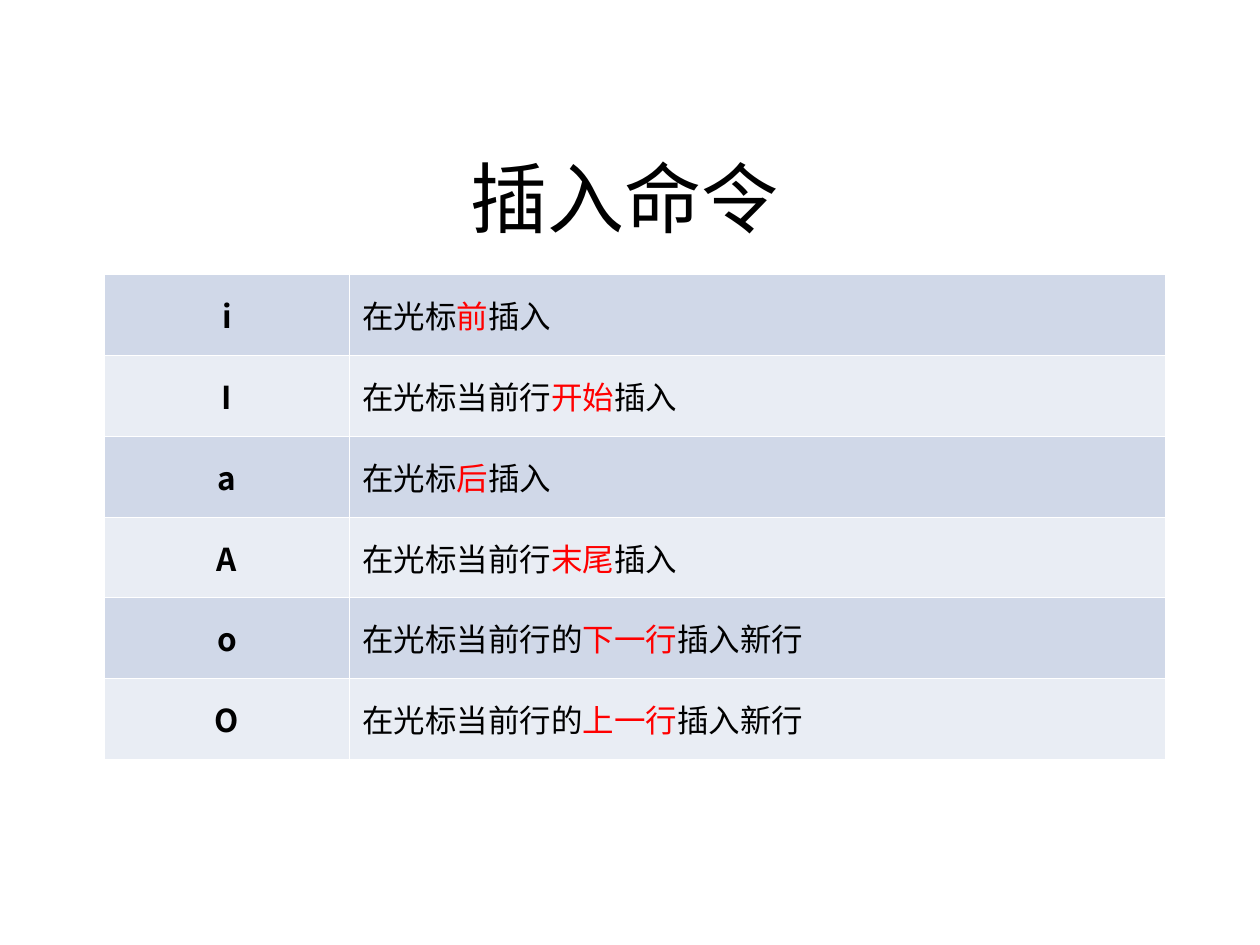
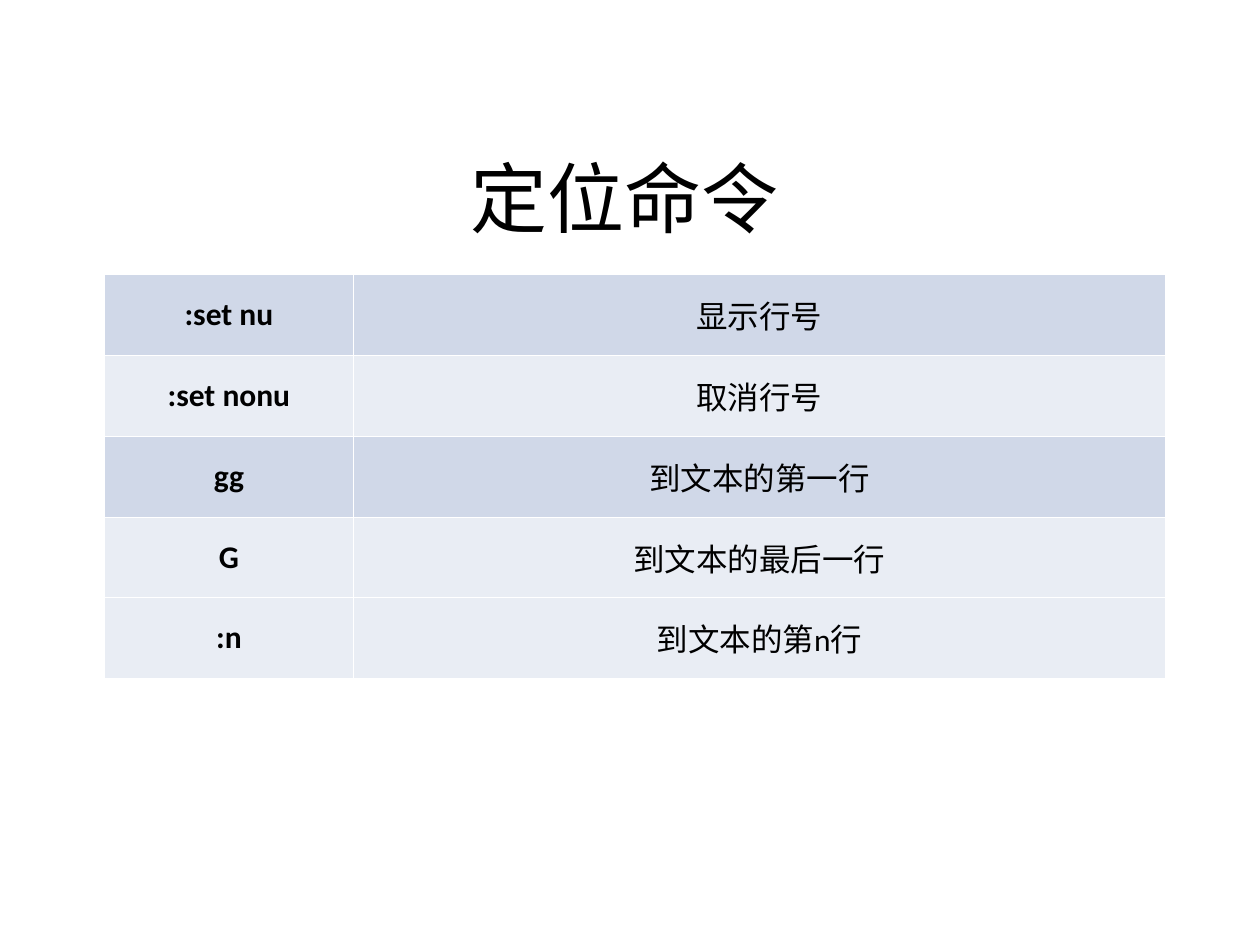
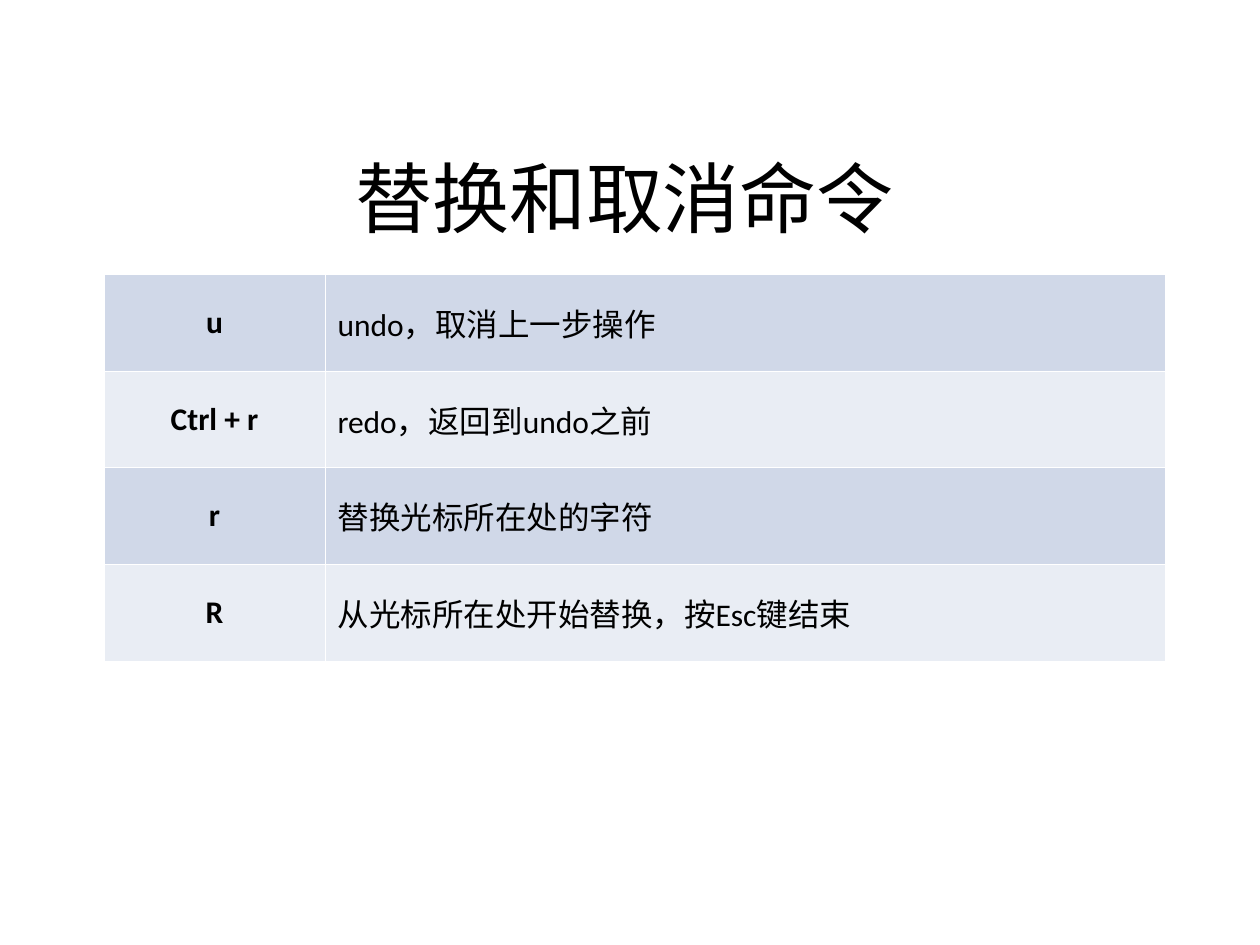
from dataclasses import dataclass
from lxml.etree import SubElement
from pptx import Presentation
from pptx.dml.color import RGBColor
from pptx.enum.text import MSO_ANCHOR, PP_ALIGN
from pptx.oxml.ns import qn
from pptx.util import Cm, Pt


@dataclass(frozen=True)
class Theme:
    ink: str = "000000"
    mark: str = "FF0000"
    rule: str = "FFFFFF"
    dark: str = "D0D8E8"
    light: str = "E9EDF4"
    latin: str = "Calibri"
    han: str = "Noto Sans CJK SC"
    head: float = 44
    body: float = 18
    gap: float = 4.5
    line: float = 0.45


@dataclass(frozen=True)
class Box:
    left: float
    top: float
    width: float
    height: float = 0

    def frame(self):
        return [Cm(n) for n in (self.left, self.top, self.width, self.height)]


THEME = Theme()
TITLE = Box(1.9, 0.91, 21.39, 3.99)
GRID = Box(2.1, 5.53, 21.39)

# In a row's text, words between bars are highlighted.
PAGES = [
    {
        "title": "插入命令", "key": 4.95, "row": 1.63,
        "font": THEME.han, "align": PP_ALIGN.LEFT, "bands": "dldldl",
        "rows": [
            ("i", "在光标|前|插入"),
            ("I", "在光标当前行|开始|插入"),
            ("a", "在光标|后|插入"),
            ("A", "在光标当前行|末尾|插入"),
            ("o", "在光标当前行的|下一行|插入新行"),
            ("O", "在光标当前行的|上一行|插入新行"),
        ],
    },
    {
        "title": "定位命令", "key": 5.03, "row": 1.63,
        "font": THEME.latin, "align": PP_ALIGN.CENTER, "bands": "dldll",
        "rows": [
            (":set nu", "显示行号"),
            (":set nonu", "取消行号"),
            ("gg", "到文本的第一行"),
            ("G", "到文本的最后一行"),
            (":n", "到文本的第n行"),
        ],
    },
    {
        "title": "替换和取消命令", "key": 4.45, "row": 1.95,
        "font": THEME.latin, "align": PP_ALIGN.LEFT, "bands": "dldl",
        "rows": [
            ("u", "undo，取消上一步操作"),
            ("Ctrl + r", "redo，返回到undo之前"),
            ("r", "替换光标所在处的字符"),
            ("R", "从光标所在处开始替换，按Esc键结束"),
        ],
    },
]


def apply(part, values):
    for name, value in values.items():
        setattr(part, name, value)


def write(para, text, size, font=THEME.latin, bold=False):
    for i, words in enumerate(text.split("|")):
        run = para.add_run()
        run.text = words
        apply(run.font, {"size": Pt(size), "name": font, "bold": bold})
        color = THEME.mark if i % 2 else THEME.ink
        run.font.color.rgb = RGBColor.from_string(color)
        # East Asian typeface
        SubElement(run.font._element, qn("a:ea"), typeface=THEME.han)


def border(cell):
    props = cell._tc.get_or_add_tcPr()
    for side in ("L", "R", "T", "B"):
        line = SubElement(props, qn(f"a:ln{side}"), w=str(Pt(THEME.line)))
        fill = SubElement(line, qn("a:solidFill"))
        SubElement(fill, qn("a:srgbClr"), val=THEME.rule)


def title(slide, box, text):
    frame = slide.shapes.add_textbox(*box.frame()).text_frame
    apply(frame, {"word_wrap": True, "vertical_anchor": MSO_ANCHOR.BOTTOM,
                  "margin_top": 0, "margin_bottom": 0})
    para = frame.paragraphs[0]
    para.alignment = PP_ALIGN.CENTER
    write(para, text, THEME.head)


def grid(slide, box, page):
    rows = page["rows"]
    area = Box(box.left, box.top, box.width, page["row"] * len(rows))
    table = slide.shapes.add_table(len(rows), 2, *area.frame()).table
    apply(table, {"first_row": False, "horz_banding": False})
    for col, width in zip(table.columns, (page["key"], box.width - page["key"])):
        col.width = Cm(width)

    # Key column, then meaning column
    looks = [
        (PP_ALIGN.CENTER, {"font": page["font"], "bold": True}),
        (page["align"], {}),
    ]
    for r, (texts, band) in enumerate(zip(rows, page["bands"])):
        table.rows[r].height = Cm(page["row"])
        shade = THEME.dark if band == "d" else THEME.light
        for c, (text, (align, style)) in enumerate(zip(texts, looks)):
            cell = table.cell(r, c)
            border(cell)
            cell.fill.solid()
            cell.fill.fore_color.rgb = RGBColor.from_string(shade)
            cell.vertical_anchor = MSO_ANCHOR.MIDDLE
            para = cell.text_frame.paragraphs[0]
            apply(para, {"alignment": align, "space_before": Pt(THEME.gap)})
            write(para, text, THEME.body, **style)


def main():
    deck = Presentation()
    apply(deck, {"slide_width": Cm(25.4), "slide_height": Cm(19.05)})
    for page in PAGES:
        slide = deck.slides.add_slide(deck.slide_layouts[6])
        title(slide, TITLE, page["title"])
        grid(slide, GRID, page)
    deck.save("out.pptx")


if __name__ == "__main__":
    main()
